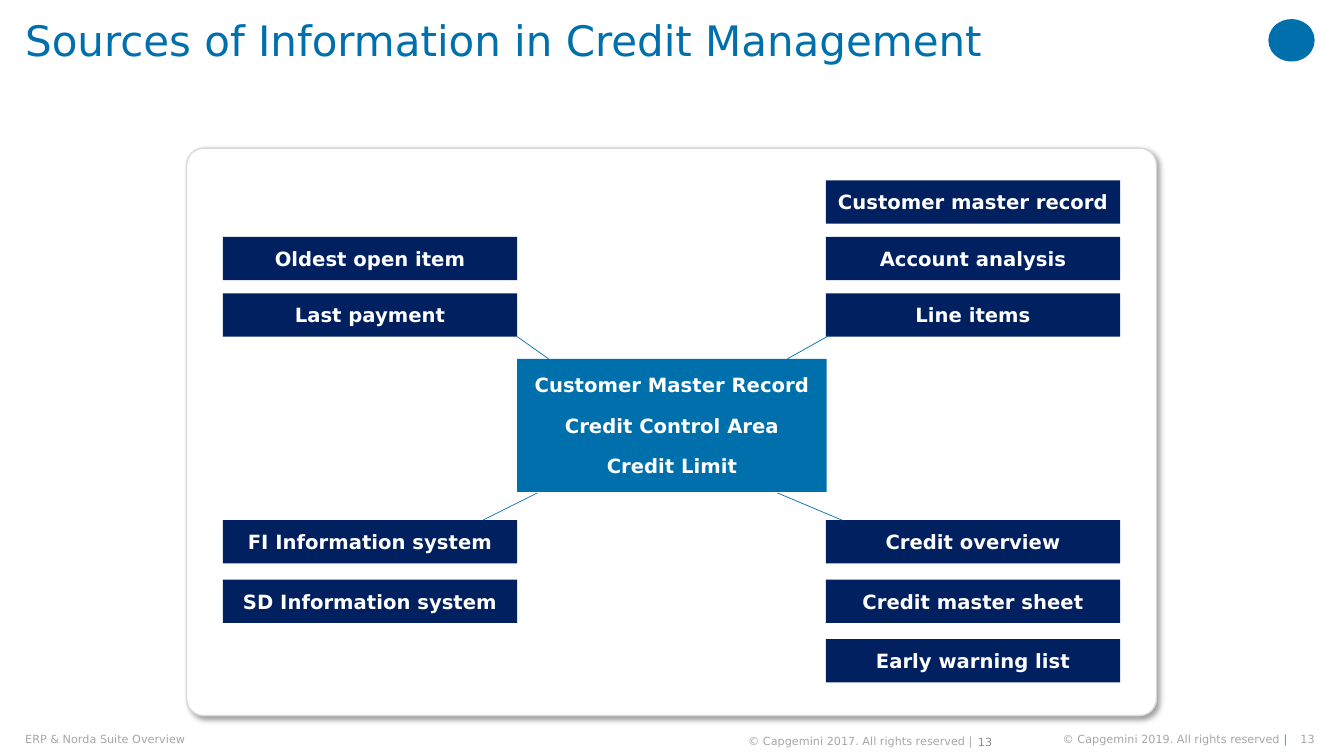
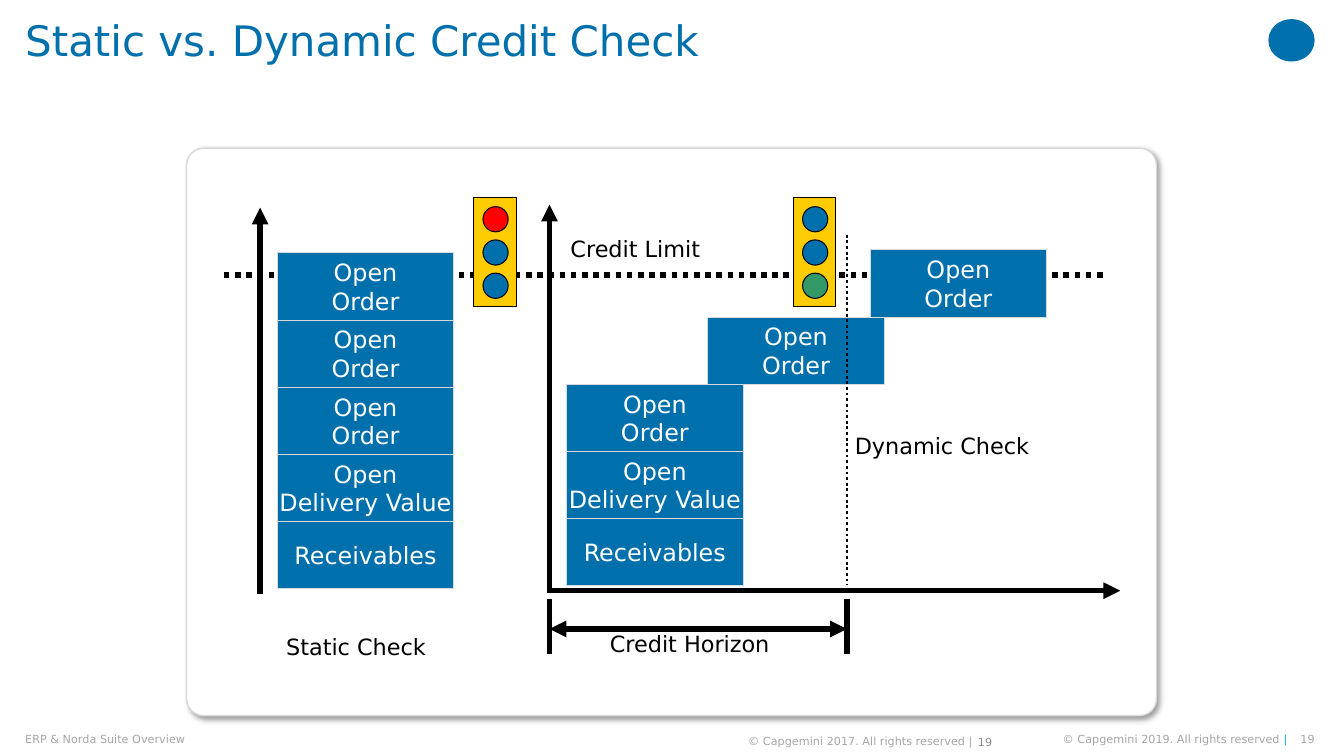
from lxml.etree import SubElement
from pptx import Presentation
from pptx.dml.color import RGBColor
from pptx.enum.dml import MSO_LINE
from pptx.enum.shapes import MSO_CONNECTOR, MSO_SHAPE
from pptx.enum.text import MSO_ANCHOR, PP_ALIGN
from pptx.oxml.ns import qn
from pptx.util import Inches, Pt

FONT = "DejaVu Sans"
COLORS = {
    "blue": "0070AD", "cyan": "12ABDB", "navy": "002060", "white": "FFFFFF",
    "black": "000000", "border": "D9D9D9", "footer": "A6A6A6", "page": "8C8C8C",
    "yellow": "FFCC00", "red": "FF0000", "green": "339966",
}
PANEL = (1.85, 1.47, 9.62, 5.63)


def rgb(name):
    return RGBColor.from_string(COLORS[name])


def write(frame, lines, size, color, bold=False, align=PP_ALIGN.LEFT,
          anchor=MSO_ANCHOR.TOP, wrap=True, insets=None, gap=0):
    """Fill a text frame with one paragraph per line."""
    frame.word_wrap = wrap
    frame.vertical_anchor = anchor
    if insets:
        (frame.margin_left, frame.margin_top,
         frame.margin_right, frame.margin_bottom) = map(Inches, insets)
    for i, line in enumerate(lines):
        paragraph = frame.add_paragraph() if i else frame.paragraphs[0]
        paragraph.add_run().text = line
        paragraph.alignment = align
        if i and gap:
            paragraph.space_before = Pt(gap)
        font = paragraph.font
        font.name, font.size, font.bold = FONT, Pt(size), bold
        font.color.rgb = rgb(color)
    return frame.paragraphs[0]


def add_text(slide, box, line, size, color, **style):
    area = slide.shapes.add_textbox(*map(Inches, box))
    return write(area.text_frame, [line], size, color, **style)


def add_box(slide, kind, box, fill, border=None, width=0.75):
    shape = slide.shapes.add_shape(kind, *map(Inches, box))
    shape.shadow.inherit = False
    shape.fill.solid()
    shape.fill.fore_color.rgb = rgb(fill)
    if border:
        shape.line.color.rgb = rgb(border)
        shape.line.width = Pt(width)
    else:
        shape.line.fill.background()
    return shape


def add_line(slide, box, start, end, color="black", width=4, dotted=False, arrows=()):
    """Draw a line between two points given relative to the box."""
    left, top = box[:2]
    line = slide.shapes.add_connector(
        MSO_CONNECTOR.STRAIGHT,
        Inches(left + start[0]), Inches(top + start[1]),
        Inches(left + end[0]), Inches(top + end[1]))
    line.line.color.rgb = rgb(color)
    line.line.width = Pt(width)
    if dotted:
        line.line.dash_style = MSO_LINE.ROUND_DOT
    outline = line.line._get_or_add_ln()
    for arrow in arrows:
        SubElement(outline, qn(f"a:{arrow}"), type="triangle")
    SubElement(line._element.spPr, qn("a:effectLst"))


def add_panel(slide, box):
    panel = add_box(slide, MSO_SHAPE.ROUNDED_RECTANGLE, box, "white", "border", 1)
    panel.adjustments[0] = 0.03
    effects = panel._element.spPr.find(qn("a:effectLst"))
    shadow = SubElement(effects, qn("a:outerShdw"), blurRad=str(Pt(4)), dist=str(Pt(3)),
                        dir=str(45 * 60000), algn="tl", rotWithShape="0")
    tone = SubElement(shadow, qn("a:srgbClr"), val=COLORS["black"])
    SubElement(tone, qn("a:alpha"), val="40000")


def add_footer(slide, page):
    style = dict(anchor=MSO_ANCHOR.MIDDLE, insets=(0, 0, 0, 0))
    right = dict(style, align=PP_ALIGN.RIGHT)
    add_text(slide, (0.25, 7.27, 5.16, 0.13), "ERP & Norda Suite Overview", 8, "footer", **style)
    notice = add_text(slide, (9.86, 7.27, 2.91, 0.13),
                      "© Capgemini 2019. All rights reserved ", 8, "footer", **right)
    divider = notice.add_run()
    divider.text = "|"
    divider.font.color.rgb = rgb("cyan")
    add_text(slide, (12.75, 7.27, 0.29, 0.13), page, 8, "footer", **right)
    add_text(slide, (7.24, 7.29, 2.41, 0.13),
             "© Capgemini 2017. All rights reserved |", 8, "footer", **right)
    add_text(slide, (9.53, 7.24, 0.41, 0.24), page, 8, "page",
             align=PP_ALIGN.RIGHT, anchor=MSO_ANCHOR.MIDDLE)


def add_base(deck, title, page):
    """Add a slide with emblem, title, footer and panel."""
    slide = deck.slides.add_slide(deck.slide_layouts[6])
    add_box(slide, MSO_SHAPE.OVAL, (12.58, 0.19, 0.46, 0.42), "blue")
    heading = add_text(slide, (0.25, 0, 12.17, 0.79), title, 30, "blue",
                       insets=(0, 0.2, 0, 0))
    heading.line_spacing = 0.9
    add_footer(slide, page)
    add_panel(slide, PANEL)
    return slide


def add_sources(slide, box):
    """Information sources arranged around the customer's credit data."""
    left, top = box[:2]
    label = dict(bold=True, align=PP_ALIGN.CENTER, anchor=MSO_ANCHOR.MIDDLE)

    # Central record
    hub = add_box(slide, MSO_SHAPE.RECTANGLE, (left + 3.28, top + 2.09, 3.07, 1.32), "blue")
    write(hub.text_frame, ["Customer Master Record", "Credit Control Area", "Credit Limit"],
          14, "white", gap=12, **label)

    # Sources: column, first row, row pitch, names
    groups = [
        (0.36, 0.88, 0.56, ["Oldest open item", "Last payment"]),
        (6.34, 0.32, 0.56, ["Customer master record", "Account analysis", "Line items"]),
        (0.36, 3.69, 0.59, ["FI Information system", "SD Information system"]),
        (6.34, 3.69, 0.59, ["Credit overview", "Credit master sheet", "Early warning list"]),
    ]
    for x, first, pitch, names in groups:
        for row, name in enumerate(names):
            source = add_box(slide, MSO_SHAPE.RECTANGLE,
                             (left + x, top + first + row * pitch, 2.92, 0.43), "navy")
            write(source.text_frame, [name], 14, "white", **label)

    # Links to the central record
    links = [((3.28, 1.87), (3.59, 2.09)), ((6.37, 1.86), (5.96, 2.09)),
             ((2.94, 3.69), (3.48, 3.42)), ((6.5, 3.69), (5.86, 3.42))]
    for start, end in links:
        add_line(slide, box, start, end, "blue", 0.5)


def add_stack(slide, box, lefts, base):
    """Stack the credit items upwards from the base, each at its own left."""
    height = 3.33 / 5
    items = [["Receivables"], ["Open", "Delivery Value"]] + [["Open", "Order"]] * 3
    for level, (x, lines) in enumerate(zip(lefts, items), start=1):
        item = add_box(slide, MSO_SHAPE.RECTANGLE,
                       (box[0] + x, box[1] + base - level * height, 1.75, height),
                       "blue", "border")
        write(item.text_frame, lines, 17, "white", align=PP_ALIGN.CENTER,
              anchor=MSO_ANCHOR.MIDDLE, wrap=False)


def add_traffic_light(slide, left, top, lamps):
    add_box(slide, MSO_SHAPE.RECTANGLE, (left, top, 0.42, 1.08), "yellow", "black")
    for i, color in enumerate(lamps):
        add_box(slide, MSO_SHAPE.OVAL, (left + 0.09, top + 0.09 + i * 0.33, 0.25, 0.25),
                color, "black")


def add_credit_checks(slide, box):
    """Static and dynamic credit checks against a common credit limit."""
    left, top = box[:2]
    origin, horizon = 3.6, 6.55

    # Credit limit and axes
    add_line(slide, box, (0.37, 1.26), (9.12, 1.26), dotted=True)
    add_line(slide, box, (origin, 4.4), (origin, 0.56), arrows=["tailEnd"])
    add_line(slide, box, (3.58, 4.39), (9.26, 4.39), arrows=["tailEnd"])
    add_line(slide, box, (0.73, 4.42), (0.73, 0.59), arrows=["tailEnd"])

    # Credit items
    add_stack(slide, box, [0.9] * 5, 4.37)
    add_stack(slide, box, [3.77, 3.77, 3.77, 5.17, 6.78], 4.34)

    # Credit horizon
    for x in (origin, horizon):
        add_line(slide, box, (x, 4.47), (x, 5.02))
    add_line(slide, box, (origin, 4.77), (horizon, 4.77), arrows=["headEnd", "tailEnd"])
    add_line(slide, box, (horizon, 0.86), (horizon, 4.33), width=2, dotted=True)

    # Check results
    add_traffic_light(slide, left + 2.85, top + 0.49, ["red", "blue", "blue"])
    add_traffic_light(slide, left + 6.02, top + 0.49, ["blue", "blue", "green"])

    # Labels
    for x, y, width, name in [(3.71, 0.81, 1.51, "Credit Limit"),
                              (6.53, 2.77, 1.94, "Dynamic Check"),
                              (4.1, 4.73, 1.81, "Credit Horizon"),
                              (0.89, 4.76, 1.61, "Static Check")]:
        add_text(slide, (left + x, top + y, width, 0.37), name, 16, "black", wrap=False)


def main():
    deck = Presentation()
    deck.slide_width, deck.slide_height = Inches(13.33), Inches(7.5)
    add_sources(add_base(deck, "Sources of Information in Credit Management", "13"), PANEL)
    add_credit_checks(add_base(deck, "Static vs. Dynamic Credit Check", "19"), PANEL)
    deck.save("out.pptx")


if __name__ == "__main__":
    main()
